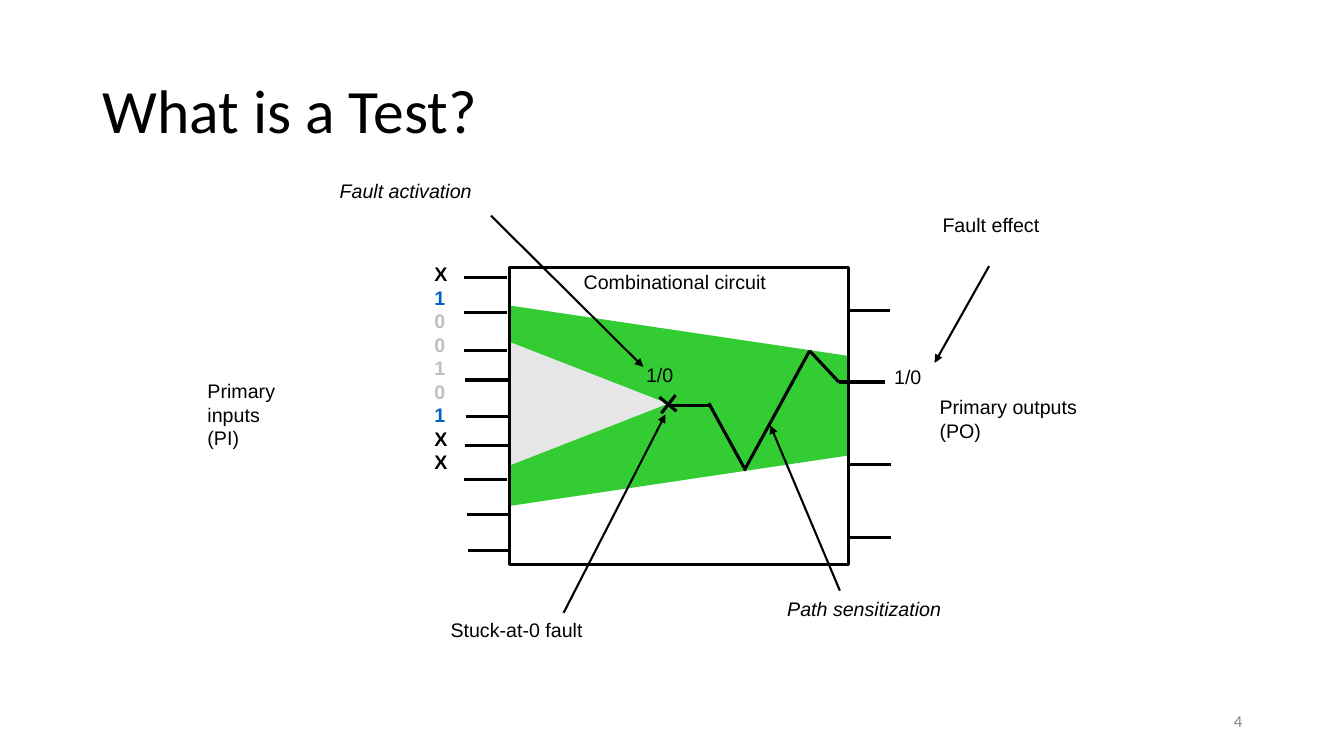
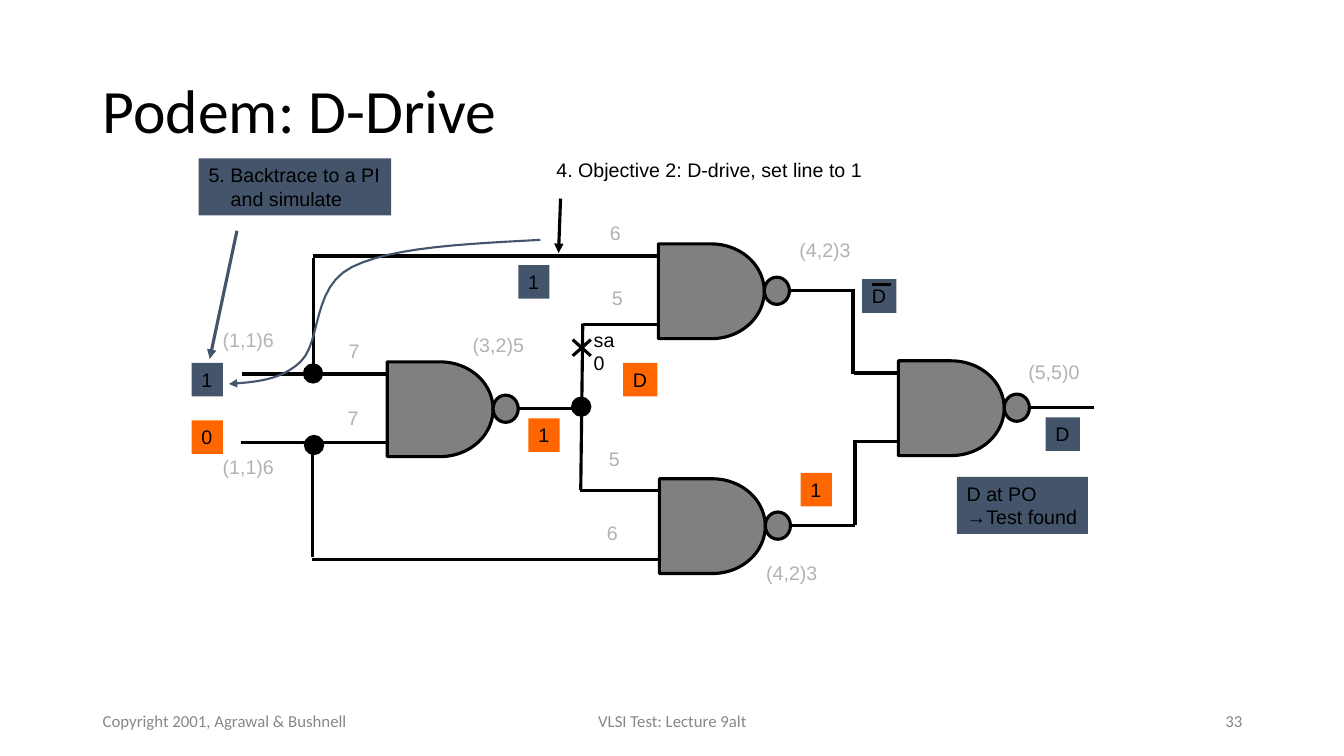
from dataclasses import dataclass

from lxml import etree
from pptx import Presentation
from pptx.dml.color import RGBColor
from pptx.enum.shapes import MSO_CONNECTOR, MSO_SHAPE as Preset
from pptx.enum.text import MSO_ANCHOR as Anchor, MSO_AUTO_SIZE as AutoSize, PP_ALIGN as Align
from pptx.oxml.ns import qn
from pptx.util import Inches, Pt


@dataclass(frozen=True)
class Theme:
    black: RGBColor = RGBColor(0x00, 0x00, 0x00)
    blue: RGBColor = RGBColor(0x05, 0x63, 0xC1)
    silver: RGBColor = RGBColor(0xC0, 0xC0, 0xC0)
    measure: RGBColor = RGBColor(0xB2, 0xB2, 0xB2)
    footer: RGBColor = RGBColor(0x88, 0x88, 0x88)
    gate: RGBColor = RGBColor(0x80, 0x80, 0x80)
    cone: RGBColor = RGBColor(0xE7, 0xE6, 0xE6)
    green: RGBColor = RGBColor(0x33, 0xCC, 0x33)
    slate: RGBColor = RGBColor(0x44, 0x54, 0x6A)
    orange: RGBColor = RGBColor(0xFF, 0x66, 0x00)
    title_font: str = "Calibri"
    label_font: str = "Arial"
    title_size: Pt = Pt(44)
    label_size: Pt = Pt(14)
    footer_size: Pt = Pt(12)
    thick: Pt = Pt(2.25)
    thin: Pt = Pt(1.5)


theme = Theme()


def draw_line(slide, points, color=theme.black, width=theme.thick, arrow=False):
    """Draw a connector through two points, or an open outline through more."""
    points = [(Inches(x), Inches(y)) for x, y in points]
    if len(points) == 2:
        line = slide.shapes.add_connector(MSO_CONNECTOR.STRAIGHT, *points[0], *points[1])
    else:
        builder = slide.shapes.build_freeform(*points[0])
        builder.add_line_segments(points[1:], close=False)
        line = builder.convert_to_shape()
        line.fill.background()
    line.line.color.rgb = color
    line.line.width = width
    properties = line._element.spPr
    if arrow:
        etree.SubElement(properties.find(qn("a:ln")), qn("a:tailEnd"), type="triangle")
    etree.SubElement(properties, qn("a:effectLst"))


def add_label(slide, text, left, top, width, color=theme.black, fill=None, italic=False):
    """Add a text box whose height follows from its number of lines."""
    height = 0.1 + 0.7 / 3 * len(text.split("\n"))
    label = slide.shapes.add_textbox(Inches(left), Inches(top), Inches(width), Inches(height))
    if fill is not None:
        label.fill.solid()
        label.fill.fore_color.rgb = fill
    frame = label.text_frame
    frame.text = text
    frame.word_wrap = False
    frame.auto_size = AutoSize.SHAPE_TO_FIT_TEXT
    for paragraph in frame.paragraphs:
        font = paragraph.runs[0].font
        font.name, font.size = theme.label_font, theme.label_size
        font.color.rgb = color
        font.italic = italic
    return label


presentation = Presentation()
presentation.slide_width, presentation.slide_height = Inches(13.33), Inches(7.5)
title_only = presentation.slide_layouts[5]

# Titles
slides = []
for heading in ("What is a Test?", "Podem: D-Drive"):
    slide = presentation.slides.add_slide(title_only)
    title = slide.shapes.title
    title.left, title.top = Inches(0.92), Inches(0.4)
    title.width, title.height = Inches(11.5), Inches(1.45)
    title.text_frame.text = heading
    title.text_frame.vertical_anchor = Anchor.MIDDLE
    paragraph = title.text_frame.paragraphs[0]
    paragraph.alignment = Align.LEFT
    paragraph.line_spacing = 0.9
    font = paragraph.runs[0].font
    font.name, font.size = theme.title_font, theme.title_size
    font.color.rgb = theme.black
    slides.append(slide)
test_slide, podem_slide = slides

# Footers
for slide, text, left, width, alignment in (
    (test_slide, "4", 9.42, 3, Align.RIGHT),
    (podem_slide, "Copyright 2001, Agrawal & Bushnell", 0.92, 3, Align.LEFT),
    (podem_slide, "VLSI Test: Lecture 9alt", 4.42, 4.5, Align.CENTER),
    (podem_slide, "33", 9.42, 3, Align.RIGHT),
):
    footer = slide.shapes.add_textbox(Inches(left), Inches(6.95), Inches(width), Inches(0.4))
    footer.text_frame.text = text
    footer.text_frame.word_wrap = True
    footer.text_frame.vertical_anchor = Anchor.MIDDLE
    paragraph = footer.text_frame.paragraphs[0]
    paragraph.alignment = alignment
    font = paragraph.runs[0].font
    font.name, font.size = theme.title_font, theme.footer_size
    font.color.rgb = theme.footer

# Test slide: circuit with its fault cones
corners = [(Inches(x), Inches(y)) for x, y in ((5.05, 5.02), (8.41, 4.52), (8.41, 3.53), (5.05, 3.03))]
builder = test_slide.shapes.build_freeform(*corners[0])
builder.add_line_segments(corners[1:], close=True)
output_cone = builder.convert_to_shape()
input_cone = test_slide.shapes.add_shape(
    Preset.ISOSCELES_TRIANGLE, Inches(5.21), Inches(3.21), Inches(1.24), Inches(1.59))
input_cone.rotation = 90
for cone, color in ((output_cone, theme.green), (input_cone, theme.cone)):
    cone.shadow.inherit = False
    cone.fill.solid()
    cone.fill.fore_color.rgb = color
    cone.line.fill.background()

circuit = test_slide.shapes.add_shape(
    Preset.RECTANGLE, Inches(5.05), Inches(2.65), Inches(3.37), Inches(2.95))
circuit.shadow.inherit = False
circuit.fill.background()
circuit.line.color.rgb = theme.black
circuit.line.width = theme.thick

input_stubs = ((4.6, 2.75), (4.6, 3.1), (4.6, 3.48), (4.61, 3.77), (4.62, 4.13),
               (4.61, 4.42), (4.6, 4.76), (4.63, 5.1), (4.64, 5.46))
output_stubs = ((8.4, 3.08), (8.41, 4.61), (8.41, 5.33))
for left, y in input_stubs + output_stubs:
    draw_line(test_slide, ((left, y), (left + 0.43, y)))

fault_cross = (((6.54, 3.94), (6.71, 4.08)), ((6.56, 4.1), (6.7, 3.92)))
sensitized_path = (((6.64, 4.02), (7.05, 4.02)), ((7.03, 4), (7.38, 4.64)),
                   ((7.38, 4.67), (8.03, 3.48)), ((8.03, 3.48), (8.32, 3.79)),
                   ((8.32, 3.79), (8.78, 3.79)))
for segment in fault_cross + sensitized_path:
    draw_line(test_slide, segment)

for pointer in (
    ((5.59, 6.08), (6.6, 4.11)),
    ((4.87, 2.14), (6.38, 3.64)),
    ((8.33, 5.86), (7.64, 4.22)),
    ((9.81, 2.64), (9.27, 3.6)),
):
    draw_line(test_slide, pointer, width=theme.thin, arrow=True)

for text, left, top, width, italic in (
    ("Stuck-at-0 fault", 4.37, 6.08, 1.51, False),
    ("1/0", 6.31, 3.55, 0.47, False),
    ("Fault activation", 3.27, 1.73, 1.51, True),
    ("Path sensitization", 7.71, 5.87, 1.73, True),
    ("Primary inputs\n(PI)", 1.96, 3.71, 1.44, False),
    ("Primary outputs\n(PO)", 9.22, 3.87, 1.57, False),
    ("Combinational circuit", 5.69, 2.63, 2.01, False),
    ("1/0", 8.77, 3.57, 0.47, False),
    ("Fault effect", 9.25, 2.06, 1.16, False),
):
    add_label(test_slide, text, left, top, width, italic=italic)

input_vector = add_label(test_slide, "\n".join("X100101XX"), 4.21, 2.55, 0.33)
vector_colors = ([theme.black, theme.blue] + [theme.silver] * 4
                 + [theme.blue, theme.black, theme.black])
for paragraph, color in zip(input_vector.text_frame.paragraphs, vector_colors):
    font = paragraph.runs[0].font
    font.bold = True
    font.color.rgb = color

# Podem slide: gates, each with the starts of its two input wires
for left, top, input_starts in (
    (3.84, 3.59, (2.4, 2.39)),
    (6.53, 2.42, (3.1, 5.78)),
    (6.54, 4.75, (5.75, 3.09)),
    (8.91, 3.58, (8.47, 8.48)),
):
    bubble_left = left + 1.05
    for preset, x, y, width, height in (
        (Preset.FLOWCHART_DELAY, left, top, 1.05, 0.94),
        (Preset.OVAL, bubble_left, top + 0.33, 0.25, 0.27),
    ):
        part = podem_slide.shapes.add_shape(
            preset, Inches(x), Inches(y), Inches(width), Inches(height))
        part.shadow.inherit = False
        part.fill.solid()
        part.fill.fore_color.rgb = theme.gate
        part.line.color.rgb = theme.black
        part.line.width = theme.thick
    output_y = top + 0.46
    draw_line(podem_slide, ((bubble_left + 0.25, output_y), (bubble_left + 0.89, output_y)))
    for start, offset in zip(input_starts, (0.12, 0.8)):
        draw_line(podem_slide, ((start, top + offset), (left, top + offset)))

vertical_wires = (((8.46, 2.87), (8.46, 3.71)), ((5.78, 3.21), (5.76, 4.86)),
                  ((8.48, 4.37), (8.48, 5.21)), ((3.11, 2.56), (3.11, 3.7)),
                  ((3.1, 4.39), (3.1, 5.53)))
stuck_cross = (((5.68, 3.37), (5.86, 3.53)), ((5.68, 3.53), (5.86, 3.37)))
for segment in vertical_wires + stuck_cross:
    draw_line(podem_slide, segment)

for left, top in ((5.68, 3.95), (3.03, 4.33), (3.02, 3.62)):
    junction = podem_slide.shapes.add_shape(
        Preset.OVAL, Inches(left), Inches(top), Inches(0.17), Inches(0.17))
    junction.shadow.inherit = False
    junction.fill.solid()
    junction.fill.fore_color.rgb = theme.black
    junction.line.color.rgb = theme.black
    junction.line.width = theme.thick

for text, left, top in (
    ("(1,1)6", 2.11, 3.2), ("(1,1)6", 2.11, 4.46), ("(3,2)5", 4.59, 3.25),
    ("(4,2)3", 7.83, 2.31), ("(4,2)3", 7.5, 5.52), ("(5,5)0", 10.1, 3.52),
    ("6", 5.95, 2.14), ("6", 5.92, 5.12), ("5", 5.97, 2.79), ("5", 5.94, 4.38),
    ("7", 3.36, 3.31), ("7", 3.35, 3.98),
):
    add_label(podem_slide, text, left, top, 0.31 if len(text) == 1 else 0.71, theme.measure)

add_label(podem_slide, "sa0", 5.79, 3.2, 0.51)
add_label(podem_slide, "4. Objective 2: D-drive, set line to 1", 5.42, 1.52, 3.24)
draw_line(podem_slide, ((5.56, 1.97), (5.54, 2.51)), arrow=True)
draw_line(podem_slide, ((2.35, 2.29), (2.08, 3.56)), theme.slate, arrow=True)

# Backtrace curve, sampled from three cubic Bezier pieces
controls = ((5.36, 2.38), (4.63, 2.42), (3.89, 2.45), (3.49, 2.65), (3.09, 2.85),
            (3.19, 3.39), (2.98, 3.59), (2.78, 3.78), (2.52, 3.79), (2.27, 3.81))
steps = 12
curve = [controls[0]]
for first in (0, 3, 6):
    for step in range(1, steps + 1):
        t = step / steps
        weights = ((1 - t) ** 3, 3 * t * (1 - t) ** 2, 3 * t ** 2 * (1 - t), t ** 3)
        piece = controls[first:first + 4]
        curve.append(tuple(sum(weight * point[axis] for weight, point in zip(weights, piece))
                           for axis in (0, 1)))
draw_line(podem_slide, curve, theme.slate, theme.thin, arrow=True)

for text, left, top, width, fill in (
    ("1", 1.9, 3.6, 0.31, theme.slate),
    ("0", 1.9, 4.17, 0.31, theme.orange),
    ("1", 5.24, 4.15, 0.31, theme.orange),
    ("1", 7.94, 4.69, 0.31, theme.orange),
    ("D", 6.18, 3.6, 0.34, theme.orange),
    ("1", 5.14, 2.63, 0.31, theme.slate),
    ("D", 8.55, 2.77, 0.34, theme.slate),
    ("D", 10.37, 4.14, 0.34, theme.slate),
    ("D at PO\n→Test found", 9.49, 4.73, 1.3, theme.slate),
):
    add_label(podem_slide, text, left, top, width, fill=fill)
draw_line(podem_slide, ((8.65, 2.82), (8.84, 2.82)))

backtrace = add_label(podem_slide, "5. Backtrace to a PI\nand simulate", 1.97, 1.57, 1.91,
                      fill=theme.slate)
backtrace.text_frame.paragraphs[1]._p.get_or_add_pPr().set("marL", str(Inches(0.22)))

presentation.save("out.pptx")
